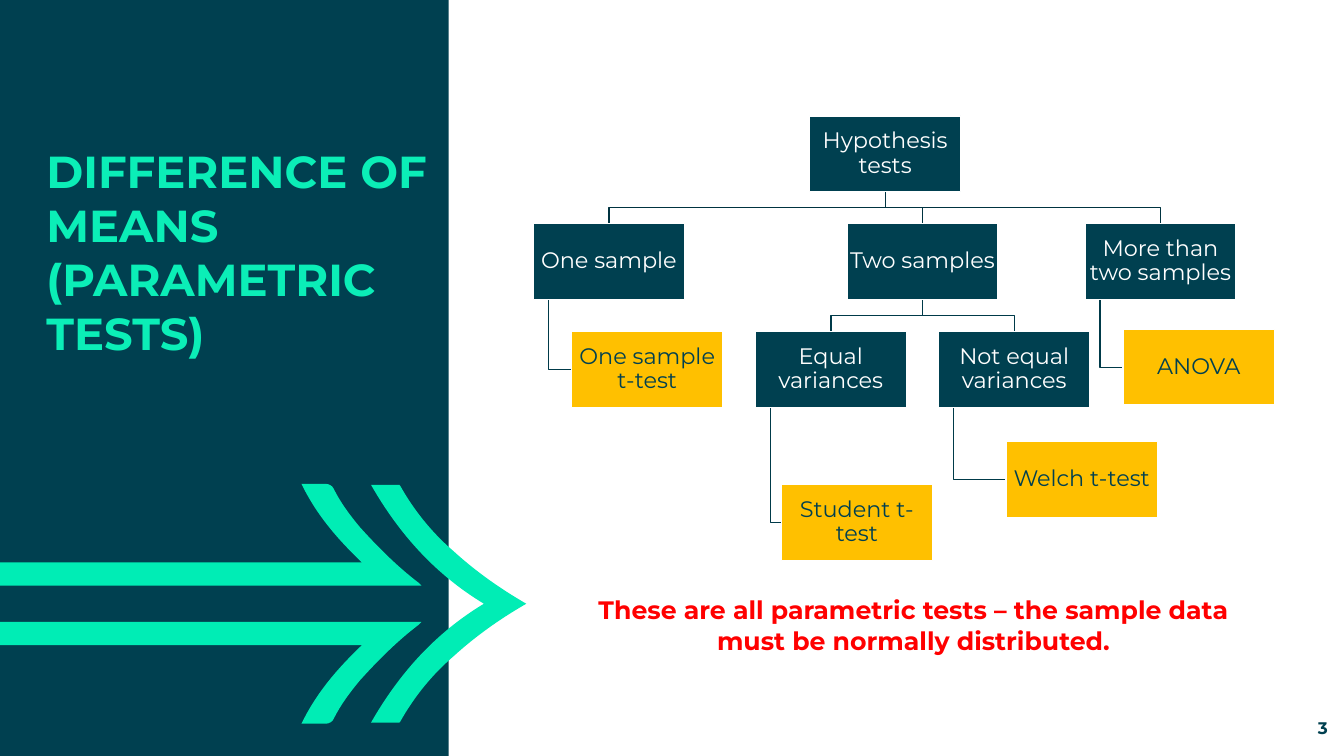
import pptx
import pptx.util
import pptx.dml.color
import pptx.enum.shapes
import pptx.enum.text
import pptx.oxml.ns
import lxml.etree

Inches = pptx.util.Inches
COLOURS = {
    "petrol": "004050", "mint": "00EDB5", "title": "0BEEB7", "amber": "FFC000",
    "trunk": "003340", "branch": "003A49", "white": "FFFFFF", "red": "FF0000",
}
RGB = {name: pptx.dml.color.RGBColor.from_string(code) for name, code in COLOURS.items()}
ALIGN = pptx.enum.text.PP_ALIGN
ANCHOR = pptx.enum.text.MSO_ANCHOR

deck = pptx.Presentation()
deck.slide_width, deck.slide_height = Inches(13.33), Inches(7.5)
page = deck.slides.add_slide(deck.slide_layouts[5])


def draw_outline(points, closed):
    corners = [(Inches(x), Inches(y)) for x, y in points]
    builder = page.shapes.build_freeform(*corners[0])
    builder.add_line_segments(corners[1:], close=closed)
    outline = builder.convert_to_shape()
    outline.shadow.inherit = False
    return outline


def write(box, text, size, colour, align, anchor, margin, bold=False):
    frame = box.text_frame
    frame.text = text
    frame.word_wrap = True
    frame.auto_size = pptx.enum.text.MSO_AUTO_SIZE.NONE
    frame.vertical_anchor = anchor
    frame.margin_left = frame.margin_right = Inches(margin)
    frame.margin_top = frame.margin_bottom = Inches(margin / 2)
    para = frame.paragraphs[0]
    para.alignment = align
    font = para.runs[0].font
    font.name, font.size, font.bold = "Montserrat", pptx.util.Pt(size), bold
    font.color.rgb = RGB[colour]
    return para


panel = page.shapes.add_shape(
    pptx.enum.shapes.MSO_SHAPE.RECTANGLE, 0, 0, Inches(4.45), deck.slide_height)
panel.shadow.inherit = False
panel.fill.solid()
panel.fill.fore_color.rgb = RGB["petrol"]
panel.line.fill.background()

axis = 5.99
bar = [
    [(4.18, 5.81)], [(0, 5.81)], [(0, 5.58)], [(3.59, 5.58)],
    [(3.35, 5.35), (3.14, 5.11), (2.99, 4.8)], [(3.23, 4.8)],
    [(3.26, 4.8), (3.3, 4.82), (3.31, 4.85)],
    [(3.38, 4.99), (3.47, 5.11), (3.57, 5.23)],
    [(3.75, 5.43), (3.94, 5.62), (4.15, 5.78)],
]
chevron = [
    [(4.8, axis)], [(4.32, 5.7), (3.96, 5.3), (3.68, 4.81)], [(3.94, 4.81)],
    [(3.96, 4.81), (3.97, 4.81), (3.97, 4.82)],
    [(4.11, 5.07), (4.29, 5.29), (4.5, 5.47)],
    [(4.72, 5.67), (4.96, 5.84), (5.22, axis)],
]
bar_mirror, chevron_mirror = [
    [[(x, 2 * axis - y) for x, y in step] for step in half] for half in (bar, chevron)]
chevron_return = [
    step[-2::-1] + [before[-1]]
    for before, step in zip(chevron_mirror[-2::-1], chevron_mirror[:0:-1])]

for steps in (bar, chevron + chevron_return, bar_mirror):
    arrow = draw_outline([point for step in steps for point in step], True)
    arrow.fill.solid()
    arrow.fill.fore_color.rgb = RGB["mint"]
    arrow.line.fill.background()
    segments = iter(list(arrow.element.iter(pptx.oxml.ns.qn("a:lnTo"))))
    for step in steps[1:]:
        group = [next(segments) for point in step]
        if len(group) == 3:
            curve = lxml.etree.Element(pptx.oxml.ns.qn("a:cubicBezTo"))
            group[0].addprevious(curve)
            for segment in group:
                curve.append(segment[0])
                segment.getparent().remove(segment)

title = page.shapes.title
title.left, title.top, title.width, title.height = map(Inches, (0.36, 1.38, 4.01, 3.01))
write(title, "DIFFERENCE OF MEANS (PARAMETRIC TESTS)", 32, "title",
      ALIGN.LEFT, ANCHOR.TOP, 0.1, True)
page.shapes.element.append(title.element)

first_row, row_pitch = 1.15, 1.07
node_width, node_height, stem_indent = 1.5, 0.75, 0.15
nodes = {
    "Hypothesis tests": (8.03, 0, None),
    "One sample": (5.29, 1, "Hypothesis tests"),
    "Two samples": (8.4, 1, "Hypothesis tests"),
    "More than two samples": (10.76, 1, "Hypothesis tests"),
    "Equal variances": (7.49, 2, "Two samples"),
    "Not equal variances": (9.31, 2, "Two samples"),
}
tests = {
    "One sample t-test": (5.67, 2, "One sample"),
    "Student t-test": (7.75, 3.42, "Equal variances"),
    "Welch t-test": (9.98, 3.02, "Not equal variances"),
    "ANOVA": (11.14, 1.98, "More than two samples"),
}
tree = {**nodes, **tests}

for label, (left, row, parent) in tree.items():
    if parent is None:
        continue
    top = first_row + row * row_pitch
    parent_left, parent_row, _ = tree[parent]
    parent_bottom = first_row + parent_row * row_pitch + node_height
    if label in tests:
        stem = parent_left + stem_indent
        middle = top + node_height / 2
        route = [(stem, parent_bottom), (stem, middle), (left, middle)]
    else:
        start, end = parent_left + node_width / 2, left + node_width / 2
        bend = (parent_bottom + top) / 2
        route = [(start, parent_bottom), (start, bend), (end, bend), (end, top)]
    link = draw_outline(route, False)
    link.fill.background()
    link.line.color.rgb = RGB["trunk" if parent_row == 0 else "branch"]
    link.line.width = pptx.util.Pt(1)

for label, (left, row, parent) in tree.items():
    node = page.shapes.add_shape(
        pptx.enum.shapes.MSO_SHAPE.RECTANGLE, Inches(left),
        Inches(first_row + row * row_pitch), Inches(node_width), Inches(node_height))
    node.shadow.inherit = False
    node.fill.solid()
    node.fill.fore_color.rgb = RGB["amber" if label in tests else "petrol"]
    node.line.color.rgb = RGB["white"]
    node.line.width = pptx.util.Pt(1)
    para = write(node, label, 16, "petrol" if label in tests else "white",
                 ALIGN.CENTER, ANCHOR.MIDDLE, 0.01)
    para.line_spacing = 0.9

note = page.shapes.add_textbox(*map(Inches, (5.81, 5.9, 6.5, 0.9)))
write(note, "These are all parametric tests – the sample data must be normally distributed.",
      18, "red", ALIGN.CENTER, ANCHOR.TOP, 0, True)
number = page.shapes.add_textbox(*map(Inches, (12.31, 7.12, 0.86, 0.2)))
write(number, "3", 12, "petrol", ALIGN.RIGHT, ANCHOR.BOTTOM, 0, True)

deck.save("out.pptx")
